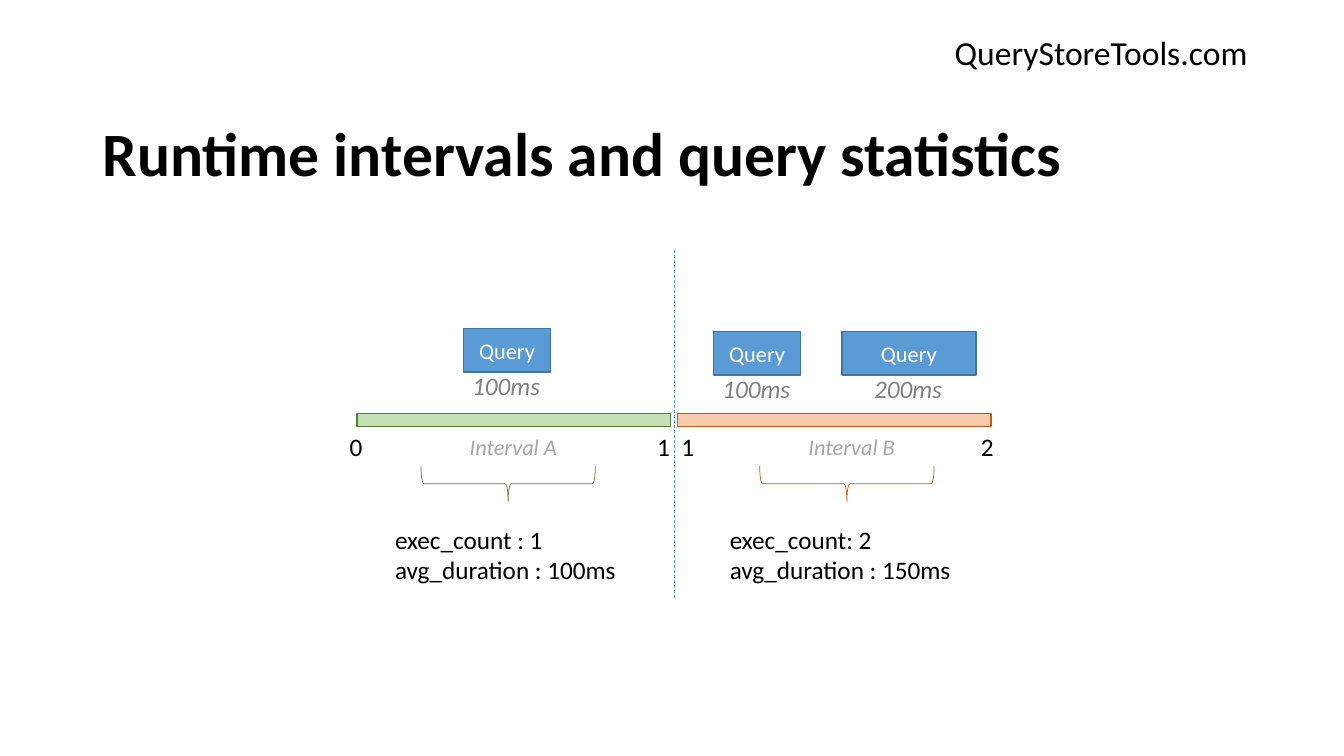
from pptx import Presentation
from pptx.dml.color import RGBColor
from pptx.enum.dml import MSO_LINE
from pptx.enum.shapes import MSO_CONNECTOR, MSO_SHAPE
from pptx.enum.text import MSO_ANCHOR, PP_ALIGN
from pptx.util import Inches, Pt
from lxml import etree

RECT, BRACE = MSO_SHAPE.RECTANGLE, MSO_SHAPE.LEFT_BRACE
STRAIGHT, DASH = MSO_CONNECTOR.STRAIGHT, MSO_LINE.DASH
TOP, MIDDLE, CENTER = MSO_ANCHOR.TOP, MSO_ANCHOR.MIDDLE, PP_ALIGN.CENTER

FONT = "Calibri"
BLACK = RGBColor(0x00, 0x00, 0x00)
WHITE = RGBColor(0xFF, 0xFF, 0xFF)
GRAY = RGBColor(0x80, 0x80, 0x80)
LIGHT_GRAY = RGBColor(0xA6, 0xA6, 0xA6)
BLUE = RGBColor(0x5B, 0x9B, 0xD5)
DARK_BLUE = RGBColor(0x43, 0x73, 0x9E)
GREEN = RGBColor(0x54, 0x82, 0x35)
LIGHT_GREEN = RGBColor(0xC5, 0xE0, 0xB4)
ORANGE = RGBColor(0xC5, 0x5A, 0x11)
LIGHT_ORANGE = RGBColor(0xF8, 0xCB, 0xAD)

BAR_W, BAR_H = 3.11, 0.13
QUERY_H = 0.43
BRACE_W, BRACE_H = 1.73, 0.35
A_NS = "http://schemas.openxmlformats.org/drawingml/2006/main"


def write(s, text, size, color, bold=None, italic=None):
    """Set the text of a shape and format its runs."""
    s.text_frame.text = text
    for p in s.text_frame.paragraphs:
        for r in p.runs:
            r.font.name = FONT
            r.font.size = Pt(size)
            r.font.color.rgb = color
            r.font.bold = bold
            r.font.italic = italic


def add_text(slide, box, text, size, color=BLACK, bold=None, italic=None, wrap=False, anchor=TOP):
    """Add a text box and return it."""
    s = slide.shapes.add_textbox(*map(Inches, box))
    write(s, text, size, color, bold, italic)
    s.text_frame.word_wrap = wrap
    s.text_frame.vertical_anchor = anchor
    return s


def add_outlined(slide, kind, box, line, width=1, fill=None):
    """Add a preset shape with an outline and an optional fill."""
    s = slide.shapes.add_shape(kind, *map(Inches, box))
    s.shadow.inherit = False
    s.line.color.rgb = line
    s.line.width = Pt(width)
    if fill is None:
        s.fill.background()
    else:
        s.fill.solid()
        s.fill.fore_color.rgb = fill
    return s


def add_header(slide, left, top, width):
    """Place the site address and the slide title."""
    add_text(slide, (left + width - 3.05, top, 3.3, 0.5), "QueryStoreTools.com", 24, wrap=True)
    title = add_text(slide, (left, top + 0.81, width, 0.95), "Runtime intervals and query statistics",
                     44, bold=True, wrap=True, anchor=MIDDLE)
    title.text_frame.paragraphs[0].line_spacing = 0.9


def add_query(slide, left, top, width, duration):
    """Place a query block with its duration below."""
    s = add_outlined(slide, RECT, (left, top, width, QUERY_H), DARK_BLUE, fill=BLUE)
    write(s, "Query", 16, WHITE)
    s.text_frame.vertical_anchor = MIDDLE
    s.text_frame.paragraphs[0].alignment = CENTER
    label_w = 0.89
    add_text(slide, (left + (width - label_w) / 2, top + 0.36, label_w, 0.4), duration, 18,
             GRAY, italic=True)


def add_interval(slide, left, top, name, ticks, center, stats, stats_left, line, fill):
    """Place an interval bar with its ticks, name, brace and statistics."""
    add_outlined(slide, RECT, (left, top, BAR_W, BAR_H), line, fill=fill)
    for tick, x in ticks:
        add_text(slide, (left + x, top + BAR_H, 0.33, 0.4), tick, 18)
    add_text(slide, (left + center + 0.06 - 0.54, top + 0.15, 1.08, 0.37), name, 16,
             LIGHT_GRAY, italic=True)
    brace = (left + center - BRACE_H / 2, top + 0.7 - BRACE_W / 2, BRACE_H, BRACE_W)
    add_outlined(slide, BRACE, brace, line, 0.5).rotation = 270
    add_text(slide, (left + stats_left, top + 1.05, 2.42, 0.71), stats, 18)


def add_divider(slide, x, top, height):
    """Place the dashed line between the intervals."""
    s = slide.shapes.add_connector(STRAIGHT, *map(Inches, (x, top, x, top + height)))
    s.line.color.rgb = BLUE
    s.line.width = Pt(0.5)
    s.line.dash_style = DASH
    etree.SubElement(s._element.spPr, f"{{{A_NS}}}effectLst")


def main():
    """Build and save the slide."""
    prs = Presentation()
    prs.slide_width, prs.slide_height = Inches(13.33), Inches(7.5)
    slide = prs.slides.add_slide(prs.slide_layouts[6])
    add_header(slide, 0.92, 0.27, 11.5)
    add_interval(slide, 3.54, 4.1, "Interval A", (("0", -0.17), ("1", 2.88)), 1.5,
                 "exec_count : 1\vavg_duration : 100ms", 0.28, GREEN, LIGHT_GREEN)
    add_interval(slide, 6.72, 4.1, "Interval B", (("1", -0.06), ("2", 2.91)), 1.68,
                 "exec_count: 2\vavg_duration : 150ms", 0.42, ORANGE, LIGHT_ORANGE)
    add_query(slide, 4.6, 3.26, 0.86, "100ms")
    add_query(slide, 7.08, 3.29, 0.86, "100ms")
    add_query(slide, 8.35, 3.29, 1.33, "200ms")
    add_divider(slide, 6.69, 2.48, 3.46)
    prs.save("out.pptx")


if __name__ == "__main__":
    main()
